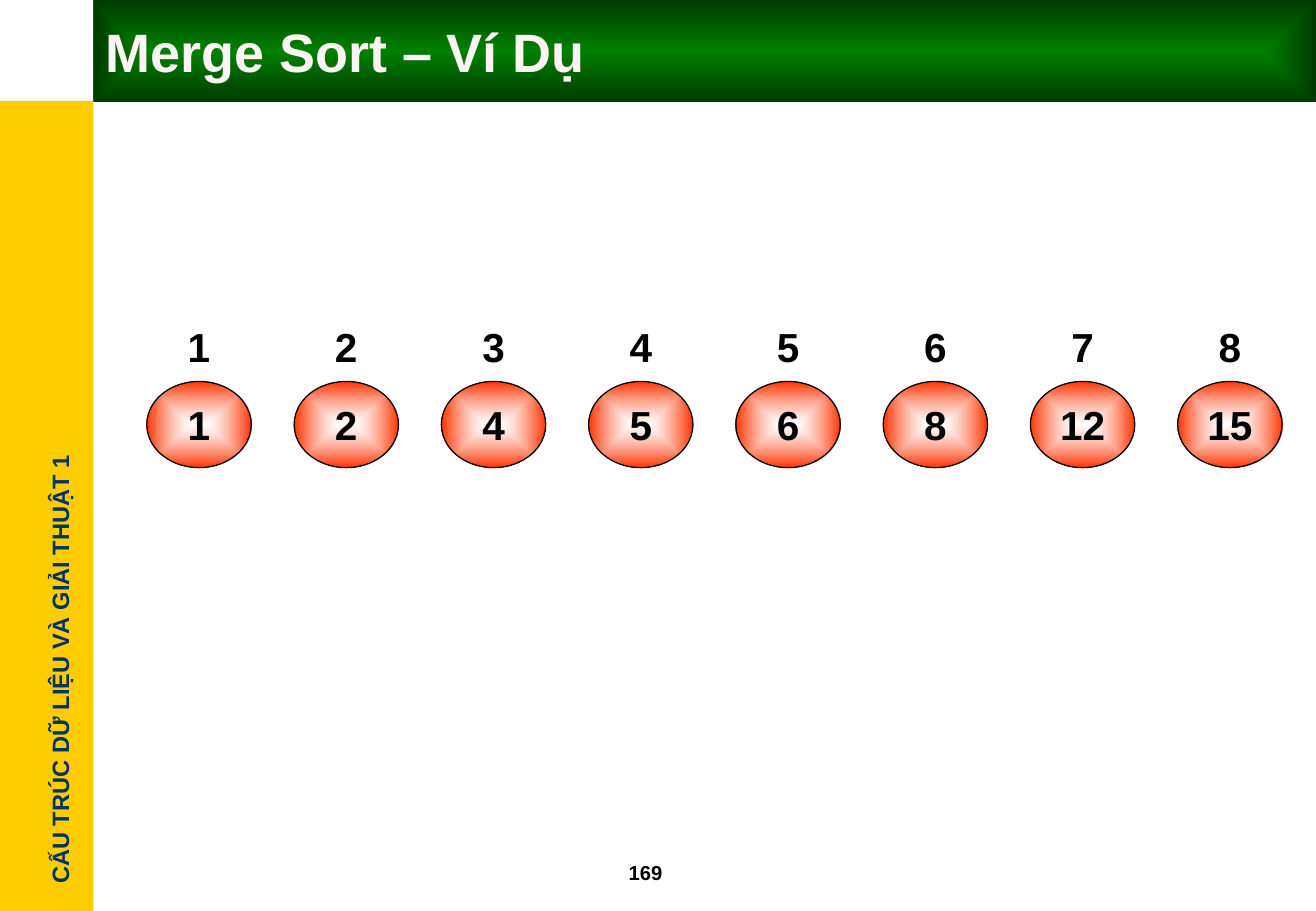
"""Build the merge sort example slide with the sorted array."""
from lxml.etree import SubElement
from pptx import Presentation
from pptx.dml.color import RGBColor
from pptx.enum.shapes import MSO_SHAPE
from pptx.enum.text import MSO_ANCHOR, PP_ALIGN
from pptx.oxml import parse_xml
from pptx.oxml.ns import nsdecls, qn
from pptx.util import Inches, Pt


def paint(fill, *tints):
    if len(tints) == 1:
        fill.solid()
        fill.fore_color.rgb = RGBColor.from_string(tints[0])
        return
    fill.gradient()
    fill.gradient_angle = 0
    for stop, tint in zip(fill.gradient_stops, tints):
        stop.color.rgb = RGBColor.from_string(tint)


def write(shape, text, size=24, color="000000", align=PP_ALIGN.LEFT,
          anchor=MSO_ANCHOR.MIDDLE, wrap=True):
    frame = shape.text_frame
    frame.word_wrap = wrap
    frame.vertical_anchor = anchor
    para = frame.paragraphs[0]
    para.alignment = align
    run = para.add_run()
    run.text = text
    run.font.name = "Arial"
    run.font.size = Pt(size)
    run.font.bold = True
    paint(run.font.fill, color)


deck = Presentation()
deck.slide_width = Inches(10.84)
deck.slide_height = Inches(7.5)
slide = deck.slides.add_slide(deck.slide_layouts[6])
shapes = slide.shapes

bars = []
for left, top, width, height, tints in [
    (0, 0.83, 0.77, 6.67, ["FFCC00"]),
    (0.77, 0, 10.07, 0.83, ["002F00", "006600"]),
    (0.77, 0, 10.07, 0.84, ["008000", "003B00"]),
]:
    bar = shapes.add_shape(MSO_SHAPE.RECTANGLE, Inches(left), Inches(top),
                           Inches(width), Inches(height))
    bar.shadow.inherit = False
    bar.line.fill.background()
    paint(bar.fill, *tints)
    bars.append(bar)
title = bars[-1]
write(title, "Merge Sort – Ví Dụ", size=32, color="FFF3F3")

course = shapes.add_textbox(Inches(-1.37), Inches(5.34), Inches(3.73), Inches(0.34))
course.rotation = 270
write(course, "CẤU TRÚC DỮ LIỆU VÀ GIẢI THUẬT 1", size=14, color="003366",
      anchor=MSO_ANCHOR.TOP, wrap=False)

number = shapes.add_textbox(Inches(5.08), Inches(7.03), Inches(0.83), Inches(0.3))
write(number, "169", size=12, anchor=MSO_ANCHOR.TOP)

radial = [title]
values = [1, 2, 4, 5, 6, 8, 12, 15]
for top, items, filled in [(3.14, values, True), (2.5, range(1, 9), False)]:
    group = shapes.add_group_shape()
    for column, item in enumerate(items):
        ball = group.shapes.add_shape(
            MSO_SHAPE.OVAL, Inches(1.21 + 1.213 * column), Inches(top),
            Inches(0.86), Inches(0.71))
        ball.shadow.inherit = False
        write(ball, str(item), align=PP_ALIGN.CENTER)
        if filled:
            paint(ball.fill, "FFFFFF", "FF3300")
            paint(ball.line.fill, "000000")
            ball.line.width = Pt(0.75)
            white = ball._element.spPr.find(".//" + qn("a:srgbClr"))
            SubElement(white, qn("a:alpha"), val="60000")
            radial.append(ball)
        else:
            ball.fill.background()
            ball.line.fill.background()

for shape in radial:
    blend = shape._element.spPr.find(qn("a:gradFill"))
    blend.replace(blend.find(qn("a:lin")), parse_xml(
        f'<a:path {nsdecls("a")} path="rect">'
        '<a:fillToRect l="50000" t="50000" r="50000" b="50000"/></a:path>'))

deck.save("out.pptx")
